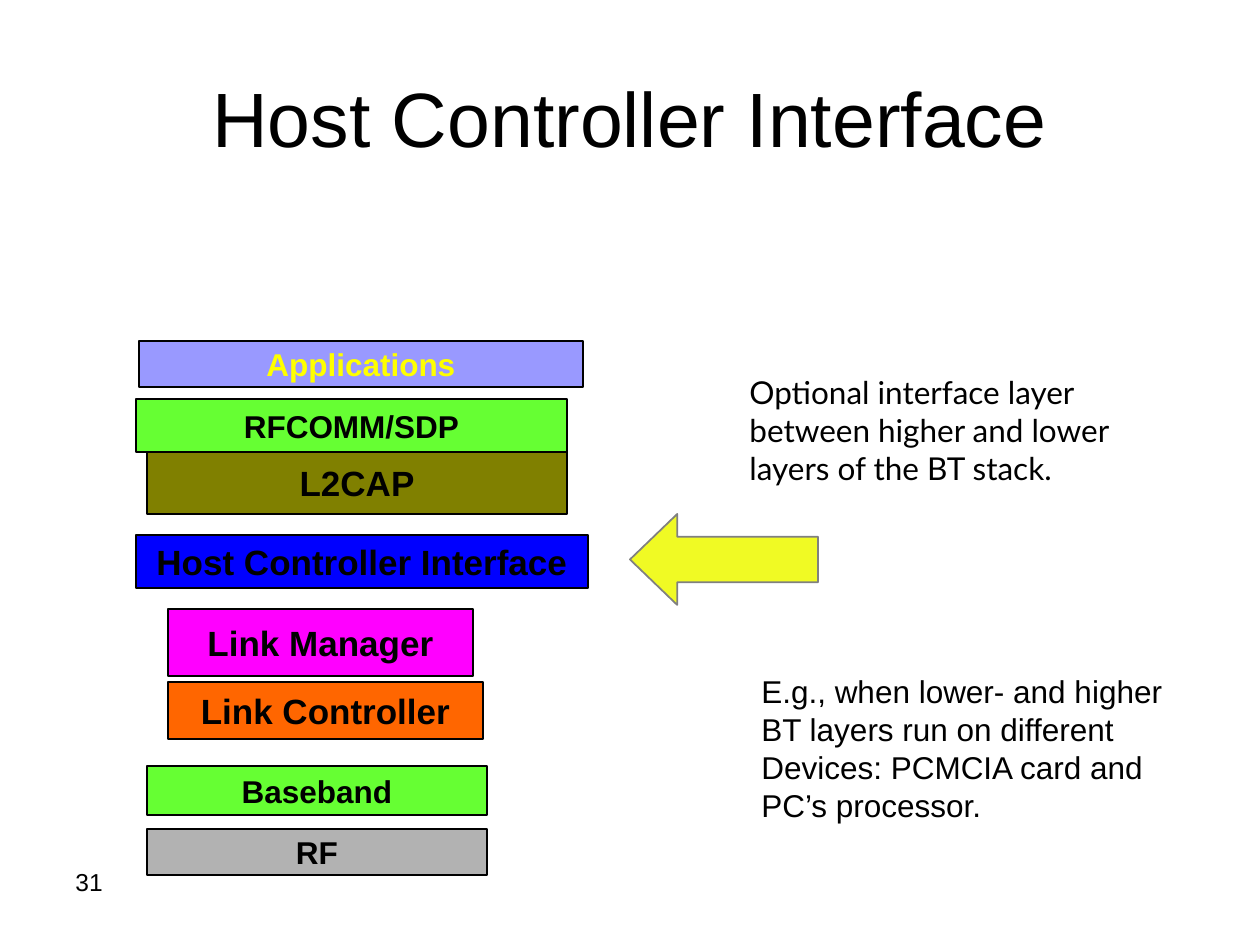
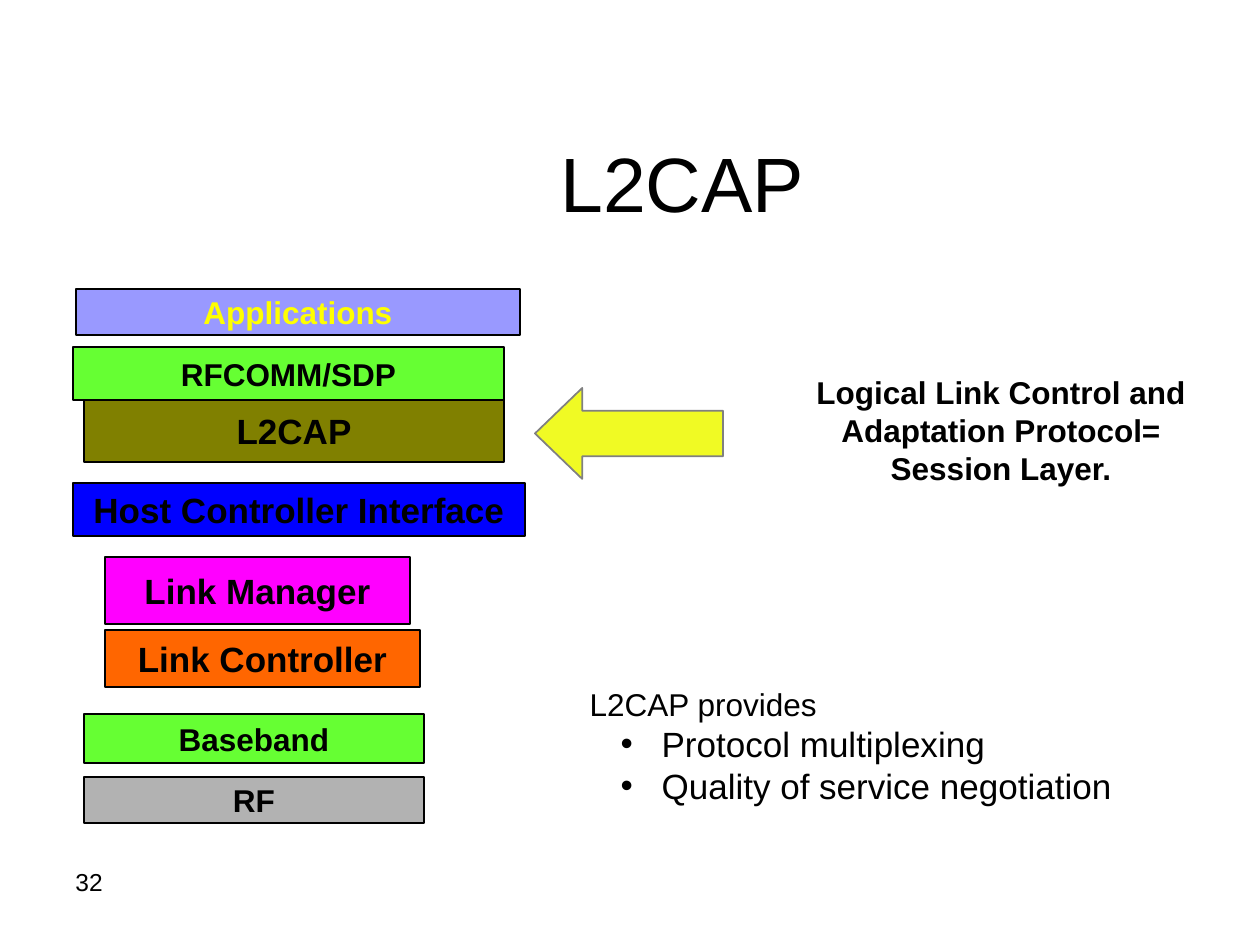
from dataclasses import dataclass
from lxml.etree import SubElement
from pptx import Presentation
from pptx.dml.color import RGBColor
from pptx.enum.shapes import MSO_SHAPE as Preset
from pptx.enum.text import MSO_ANCHOR as Anchor, MSO_AUTO_SIZE as AutoSize, PP_ALIGN as Align
from pptx.oxml.ns import qn
from pptx.util import Pt

PX = 914400 / 126


@dataclass(frozen=True)
class Theme:
    font: str = "Arial"
    note_font: str = "Lato"
    ink: str = "000000"
    highlight: str = "FFFF00"
    arrow: str = "F0FA24"
    arrow_edge: str = "808080"
    lilac: str = "9999FF"
    green: str = "66FF33"
    olive: str = "808000"
    blue: str = "0000FF"
    magenta: str = "FF00FF"
    orange: str = "FF6600"
    grey: str = "B2B2B2"
    title: int = 44
    large: int = 20
    normal: int = 18
    number: int = 14
    edge: float = 0.74
    arrow_line: float = 0.99
    leading: float = 1.2


T = Theme()

LAYERS = [
    ("Applications", (3, 0, 444, 46), T.lilac, T.normal, T.highlight),
    ("RFCOMM/SDP", (0, 58, 431, 53), T.green, T.normal, T.ink),
    ("L2CAP", (11, 110, 420, 63), T.olive, T.large, T.ink),
    ("Host Controller Interface", (0, 194, 452, 53), T.blue, T.large, T.ink),
    ("Link Manager", (32, 268, 305, 67), T.magenta, T.large, T.ink),
    ("Link Controller", (32, 341, 315, 57), T.orange, T.large, T.ink),
    ("Baseband", (11, 425, 340, 49), T.green, T.normal, T.ink),
    ("RF", (11, 488, 340, 46), T.grey, T.normal, T.ink),
]

SLIDES = [
    dict(
        number="31", title="Host Controller Interface", title_at=(63, 38, 1134, 157),
        stack_at=(136, 341), arrow_at=(630, 514),
        notes=[
            ((737, 367, 422, 126), T.note_font, False, Align.LEFT,
             ["Optional interface layer", "between higher and lower", "layers of the BT stack."]),
            ((749, 666, 426, 164), T.font, False, Align.LEFT,
             ["E.g., when lower- and higher", "BT layers run on different",
              "Devices: PCMCIA card and", "PC’s processor."]),
        ],
    ),
    dict(
        number="32", title="L2CAP", title_at=(147, 147, 1071, 69),
        stack_at=(73, 289), arrow_at=(535, 388),
        notes=[
            ((804, 367, 394, 126), T.font, True, Align.CENTER,
             ["Logical Link Control and", "Adaptation Protocol=", "Session Layer."]),
        ],
        services=("L2CAP provides", ["Protocol multiplexing", "Quality of service negotiation"]),
        services_at=(577, 678, 640, 135),
    ),
]
ARROW_SIZE = (188, 91)
NUMBER_AT = (63, 861, 294, 66)
BULLET_MARGIN, BULLET_HANG = 72, 41


def emu(pixels):
    return [round(p * PX) for p in pixels]


def place(shape, box):
    shape.left, shape.top, shape.width, shape.height = emu(box)


def style(paragraph, size, color=T.ink, font=T.font, bold=False, align=Align.LEFT):
    paragraph.alignment = align
    face = paragraph.font
    face.name, face.size, face.bold = font, Pt(size), bold
    face.color.rgb = RGBColor.from_string(color)


def spread(paragraph, size):
    paragraph.line_spacing = Pt(size * T.leading)
    paragraph.space_before = Pt(0)


def add_title(slide, text, box):
    title = slide.shapes.title
    place(title, box)
    title.text = text
    title.text_frame.auto_size = AutoSize.NONE
    title.text_frame.vertical_anchor = Anchor.MIDDLE
    style(title.text_frame.paragraphs[0], T.title, align=Align.CENTER)


def add_figure(slide, preset, box, fill, edge, width):
    figure = slide.shapes.add_shape(preset, *emu(box))
    figure.shadow.inherit = False
    figure.fill.solid()
    figure.fill.fore_color.rgb = RGBColor.from_string(fill)
    figure.line.color.rgb = RGBColor.from_string(edge)
    figure.line.width = Pt(width)
    return figure


def add_stack(slide, origin):
    left, top = origin
    for label, (x, y, w, h), fill, size, color in reversed(LAYERS):
        layer = add_figure(slide, Preset.RECTANGLE, (left + x, top + y, w, h), fill, T.ink, T.edge)
        frame = layer.text_frame
        frame.text = label
        frame.word_wrap = False
        frame.vertical_anchor = Anchor.MIDDLE
        style(frame.paragraphs[0], size, color, bold=True, align=Align.CENTER)


def add_arrow(slide, corner):
    arrow = add_figure(slide, Preset.LEFT_ARROW, corner + ARROW_SIZE, T.arrow, T.arrow_edge, T.arrow_line)
    arrow.adjustments[0], arrow.adjustments[1] = 0.5, 0.52


def add_note(slide, box, font, bold, align, lines):
    frame = slide.shapes.add_textbox(*emu(box)).text_frame
    frame.word_wrap = False
    frame.text = "\n".join(lines)
    for line in frame.paragraphs:
        style(line, T.normal, font=font, bold=bold, align=align)
        spread(line, T.normal)


def set_bullet(paragraph, margin, hang, mark=None):
    props = paragraph._p.get_or_add_pPr()
    props.set("marL", str(round(margin * PX)))
    props.set("indent", str(round(-hang * PX)))
    if mark:
        SubElement(props, qn("a:buChar")).set("char", mark)
    else:
        SubElement(props, qn("a:buNone"))


def add_services(slide, heading, items, box):
    body = slide.placeholders[1]
    place(body, box)
    frame = body.text_frame
    frame.text = "\n".join([heading] + items)
    frame.auto_size = AutoSize.NONE
    frame.vertical_anchor = Anchor.MIDDLE
    intro, *services = frame.paragraphs
    style(intro, T.normal)
    spread(intro, T.normal)
    set_bullet(intro, 0, 0)
    for service in services:
        service.level = 1
        style(service, T.large)
        spread(service, T.large)
        set_bullet(service, BULLET_MARGIN, BULLET_HANG, "•")


def add_number(slide, number):
    frame = slide.shapes.add_textbox(*emu(NUMBER_AT)).text_frame
    frame.word_wrap = True
    frame.text = number
    style(frame.paragraphs[0], T.number)


deck = Presentation()
deck.slide_width, deck.slide_height = emu((1260, 945))
title_and_body, title_only = deck.slide_layouts[1], deck.slide_layouts[5]

for content in SLIDES:
    has_services = "services" in content
    slide = deck.slides.add_slide(title_and_body if has_services else title_only)
    add_number(slide, content["number"])
    add_title(slide, content["title"], content["title_at"])
    add_stack(slide, content["stack_at"])
    add_arrow(slide, content["arrow_at"])
    for note in content["notes"]:
        add_note(slide, *note)
    if has_services:
        add_services(slide, *content["services"], content["services_at"])

deck.save("out.pptx")
